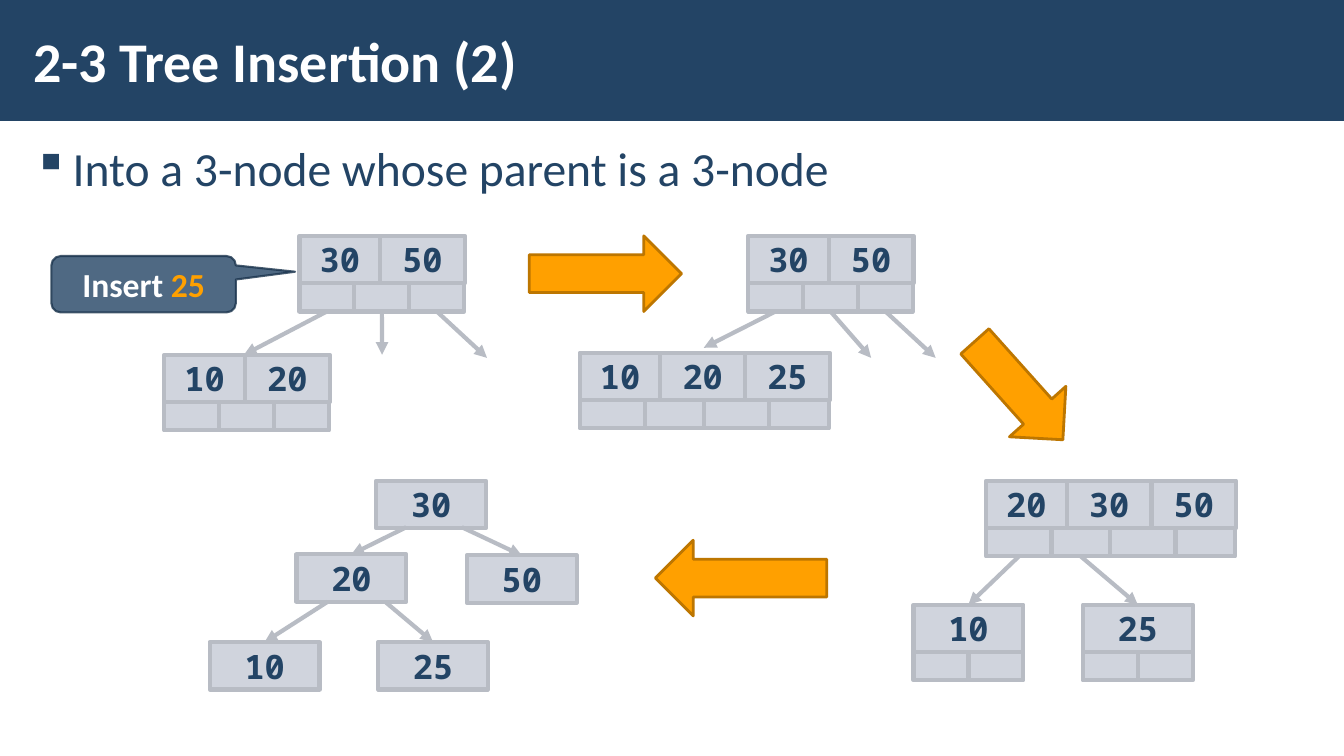
from dataclasses import dataclass
from typing import NamedTuple

import pptx
import pptx.dml.color
import pptx.enum.shapes
import pptx.enum.text
import pptx.oxml.ns
import pptx.oxml.xmlchemy
import pptx.util
from lxml import etree
from pptx.util import Inches

SHAPE = pptx.enum.shapes.MSO_SHAPE
ALIGN = pptx.enum.text.PP_ALIGN
ANCHOR = pptx.enum.text.MSO_ANCHOR
qn = pptx.oxml.ns.qn


@dataclass(frozen=True)
class Theme:
    navy: str = "234465"
    navy_edge: str = "1A334C"
    white: str = "FFFFFF"
    orange: str = "FFA000"
    orange_edge: str = "BD7600"
    cell: str = "A3ABBC"
    cell_edge: str = "B8BCC4"
    text_font: str = "Calibri"
    key_font: str = "Noto Sans Mono"
    title_size: int = 40
    body_size: int = 34
    label_size: int = 24


class Point(NamedTuple):
    x: float
    y: float


class Pointer(NamedTuple):
    node: str
    index: int


@dataclass(frozen=True)
class Node:
    name: str
    left: float
    top: float
    keys: tuple[str, ...]
    has_pointers: bool = True


@dataclass(frozen=True)
class Edge:
    start: Point | Pointer
    end: Point | str


@dataclass(frozen=True)
class Step:
    left: float
    top: float
    width: float
    rotation: float = 0


THEME = Theme()
KEY_HEIGHT, POINTER_HEIGHT, STEP_HEIGHT = 0.47, 0.28, 0.75
KEY_WIDTHS = {1: (1.09,), 2: (0.8, 0.84), 3: (0.8, 0.84, 0.84)}
POINTER_WIDTHS = {1: (0.545,) * 2, 2: (0.545,) * 3, 3: (0.65, 0.58, 0.65, 0.59)}

NODES = [
    Node("before root", 2.97, 2.34, ("30", "50")),
    Node("before leaf", 1.63, 3.52, ("10", "20")),
    Node("overflow root", 7.42, 2.34, ("30", "50")),
    Node("overflow leaf", 5.75, 3.5, ("10", "20", "25")),
    Node("split root", 9.78, 4.77, ("20", "30", "50")),
    Node("split 10", 9.06, 6, ("10",)),
    Node("split 25", 10.74, 6, ("25",)),
    Node("final 30", 3.73, 4.77, ("30",), False),
    Node("final 20", 2.94, 5.5, ("20",), False),
    Node("final 50", 4.63, 5.51, ("50",), False),
    Node("final 10", 2.08, 6.37, ("10",), False),
    Node("final 25", 3.75, 6.37, ("25",), False),
]
EDGES = [
    Edge(Pointer("before root", 0), Point(2.42, 3.52)),
    Edge(Pointer("before root", 1), Point(3.79, 3.52)),
    Edge(Pointer("before root", 2), Point(4.83, 3.55)),
    Edge(Pointer("overflow root", 0), Point(6.98, 3.45)),
    Edge(Pointer("overflow root", 1), Point(8.64, 3.55)),
    Edge(Pointer("overflow root", 2), Point(9.28, 3.55)),
    Edge(Pointer("split root", 0), "split 10"),
    Edge(Pointer("split root", 1), "split 25"),
    Edge(Point(4.03, 5.23), "final 20"),
    Edge(Point(4.58, 5.23), "final 50"),
    Edge(Point(3.25, 5.97), "final 10"),
    Edge(Point(3.82, 5.97), "final 25"),
]
STEPS = [
    Step(5.25, 2.34, 1.51),
    Step(9.45, 3.5, 1.31, 48.2),
    Step(6.5, 5.36, 1.7, 180),
]


def rgb(color: str) -> pptx.dml.color.RGBColor:
    return pptx.dml.color.RGBColor.from_string(color)


def set_font(font, name: str, size: int, bold: bool = False, color: str | None = None) -> None:
    font.name, font.size, font.bold = name, pptx.util.Pt(size), bold
    if color:
        font.color.rgb = rgb(color)


def set_opacity(shape, percent: int) -> None:
    for color in shape._element.spPr.iter(qn("a:srgbClr")):
        etree.SubElement(color, qn("a:alpha"), val=str(percent * 1000))


def add_filled(slide, kind, left: float, top: float, width: float, height: float, color: str):
    shape = slide.shapes.add_shape(kind, Inches(left), Inches(top), Inches(width), Inches(height))
    shape.shadow.inherit = False
    shape.fill.solid()
    shape.fill.fore_color.rgb = rgb(color)
    shape.line.fill.background()
    return shape


def set_line(shape, color: str, width: float) -> None:
    shape.line.color.rgb = rgb(color)
    shape.line.width = pptx.util.Pt(width)


def add_text(slide, left: float, top: float, width: float, height: float, text: str, anchor):
    box = slide.shapes.add_textbox(Inches(left), Inches(top), Inches(width), Inches(height))
    frame = box.text_frame
    frame.word_wrap = True
    frame.vertical_anchor = anchor
    frame.margin_left = frame.margin_right = Inches(0.12)
    frame.margin_top = frame.margin_bottom = Inches(0.04)
    paragraph = frame.paragraphs[0]
    paragraph.text = text
    return paragraph


def add_cells(slide, left: float, top: float, widths: tuple[float, ...], height: float) -> list:
    cells = []
    for index, width in enumerate(widths):
        cell = add_filled(slide, SHAPE.RECTANGLE, left + sum(widths[:index]), top, width, height, THEME.cell)
        set_opacity(cell, 50)
        set_line(cell, THEME.cell_edge, 3)
        cells.append(cell)
    return cells


def add_node(slide, node: Node) -> tuple[list, list]:
    count = len(node.keys)
    keys = add_cells(slide, node.left, node.top, KEY_WIDTHS[count], KEY_HEIGHT)
    for cell, key in zip(keys, node.keys):
        cell.text_frame.word_wrap = False
        cell.text_frame.vertical_anchor = ANCHOR.MIDDLE
        paragraph = cell.text_frame.paragraphs[0]
        paragraph.text = key
        paragraph.alignment = ALIGN.CENTER
        set_font(paragraph.font, THEME.key_font, THEME.label_size, True, THEME.navy)
    pointer_widths = POINTER_WIDTHS[count] if node.has_pointers else ()
    return keys, add_cells(slide, node.left, node.top + KEY_HEIGHT, pointer_widths, POINTER_HEIGHT)


def add_edge(slide, edge: Edge, nodes: dict[str, tuple[list, list]]) -> None:
    start = edge.start if isinstance(edge.start, Point) else Point(0, 0)
    end = edge.end if isinstance(edge.end, Point) else Point(0, 0)
    line = slide.shapes.add_connector(
        pptx.enum.shapes.MSO_CONNECTOR.STRAIGHT, *(Inches(value) for value in (*start, *end)))
    if isinstance(edge.start, Pointer):
        line.begin_connect(nodes[edge.start.node][1][edge.start.index], 2)
    if isinstance(edge.end, str):
        line.end_connect(nodes[edge.end][0][0], 0)
    set_line(line, THEME.cell_edge, 3)
    etree.SubElement(line.line._get_or_add_ln(), qn("a:tailEnd"), type="triangle")
    etree.SubElement(line._element.spPr, qn("a:effectLst"))


def add_step(slide, step: Step) -> None:
    arrow = add_filled(slide, SHAPE.RIGHT_ARROW, step.left, step.top, step.width, STEP_HEIGHT, THEME.orange)
    set_line(arrow, THEME.orange_edge, 2)
    arrow.rotation = step.rotation


def add_insert_callout(slide) -> None:
    callout = add_filled(slide, SHAPE.ROUNDED_RECTANGULAR_CALLOUT, 0.51, 2.54, 1.83, 0.56, THEME.navy)
    set_line(callout, THEME.navy_edge, 1.5)
    set_opacity(callout, 80)
    for index, value in enumerate((0.821, -0.221, 0.167)):
        callout.adjustments[index] = value
    callout.text_frame.vertical_anchor = ANCHOR.MIDDLE
    paragraph = callout.text_frame.paragraphs[0]
    paragraph.alignment = ALIGN.CENTER
    set_font(paragraph.font, THEME.text_font, THEME.label_size, True)
    for text, color in (("Insert ", THEME.white), ("25", THEME.orange)):
        run = paragraph.add_run()
        run.text = text
        run.font.color.rgb = rgb(color)


def add_heading(slide) -> None:
    add_filled(slide, SHAPE.RECTANGLE, 0, 0, 13.34, 1.2, THEME.navy)
    title = add_text(slide, 0.21, 0.11, 10.63, 0.97, "2-3 Tree Insertion (2)", ANCHOR.MIDDLE)
    set_font(title.font, THEME.text_font, THEME.title_size, True, THEME.white)
    case = add_text(slide, 0.21, 1.31, 12.92, 6.05, "Into a 3-node whose parent is a 3-node", ANCHOR.TOP)
    case.line_spacing = 1.05
    case.space_after = pptx.util.Pt(6)
    properties = case._p.get_or_add_pPr()
    properties.set("marL", str(Inches(0.39)))
    properties.set("indent", str(-Inches(0.39)))
    etree.SubElement(properties, qn("a:buChar"), char="▪")
    set_font(case.font, THEME.text_font, THEME.body_size, False, THEME.navy)


def main() -> None:
    deck = pptx.Presentation()
    deck.slide_width, deck.slide_height = Inches(13.33), Inches(7.5)
    slide = deck.slides.add_slide(deck.slide_layouts[6])
    add_heading(slide)
    nodes = {node.name: add_node(slide, node) for node in NODES}
    for edge in EDGES:
        add_edge(slide, edge, nodes)
    for step in STEPS:
        add_step(slide, step)
    add_insert_callout(slide)
    deck.save("out.pptx")


if __name__ == "__main__":
    main()
